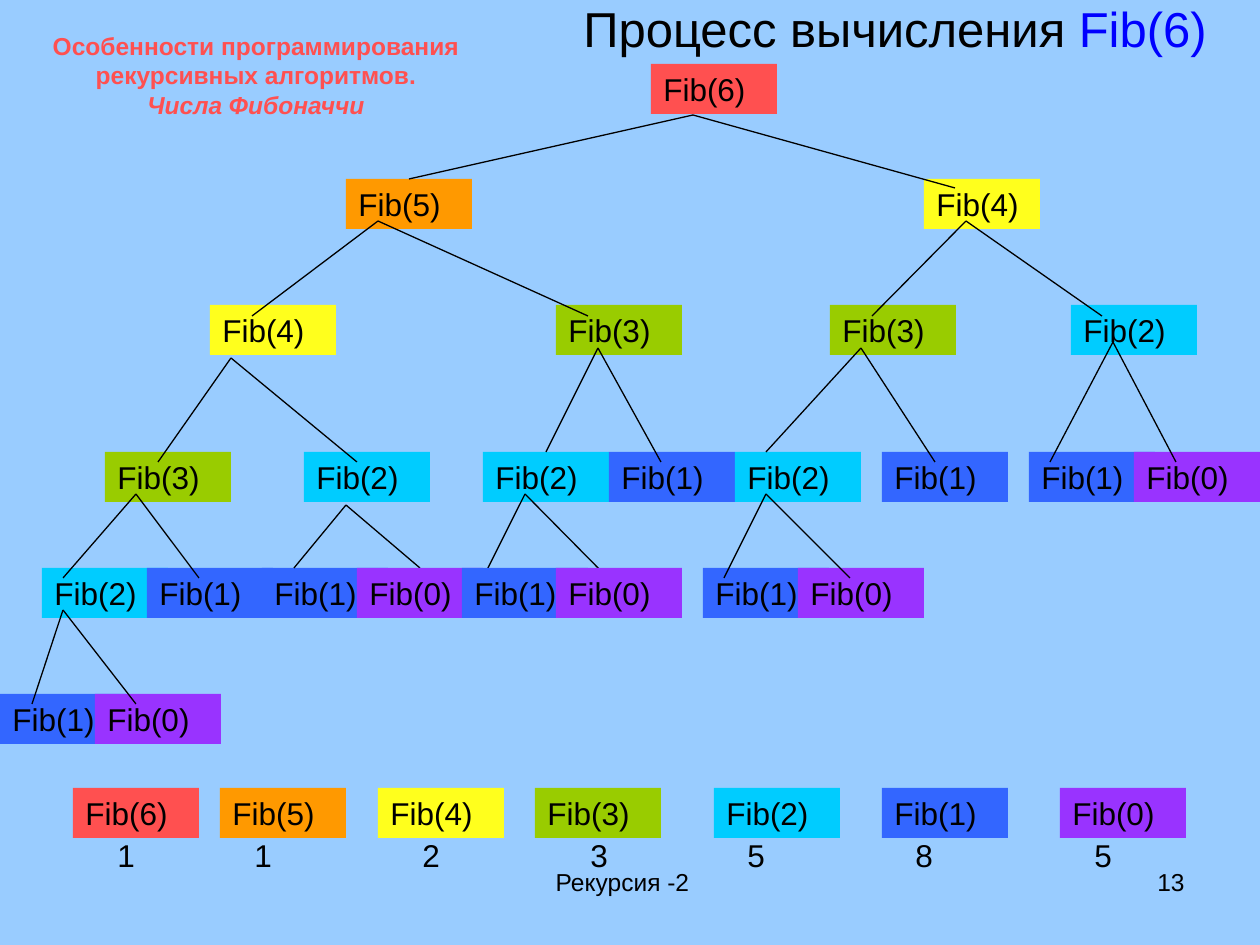
"""Build the slide with the call tree of the recursive Fib(6)."""
from pptx import Presentation, util as u
from pptx.dml.color import RGBColor
from pptx.enum import shapes, text
from pptx.oxml.ns import qn

PX = 9144000 / 1260
NODE_W, NODE_H = 126, 50
LEVEL_TOPS = [64, 179, 305, 452, 568, 694]
LEGEND_TOP, COUNT_TOP = 788, 830
COLOURS = ["9933FF", "3366FF", "00CCFF", "99CC00", "FFFF1D", "FF9900", "FF5050"]

prs = Presentation()
prs.slide_width, prs.slide_height = u.Inches(10), u.Inches(7.5)
slide = prs.slides.add_slide(prs.slide_layouts[6])


def colour(target, value):
    if hasattr(target, "solid"):
        target.solid()
        target = target.fore_color
    target.rgb = RGBColor.from_string(value)


def write(runs, left, top, width, height, fill=None, size=18, bold=False,
          align=text.PP_ALIGN.LEFT, anchor=text.MSO_ANCHOR.TOP, spacing=None):
    area = [round(v * PX) for v in (left, top, width, height)]
    if fill:
        box = slide.shapes.add_shape(shapes.MSO_SHAPE.RECTANGLE, *area)
        box.shadow.inherit = False
        colour(box.fill, fill)
        box.line.fill.background()
    else:
        box = slide.shapes.add_textbox(*area)
    frame = box.text_frame
    frame.word_wrap = True
    frame.vertical_anchor = anchor
    paragraph = frame.paragraphs[0]
    paragraph.alignment = align
    paragraph.line_spacing = spacing
    for words, ink, italic in runs:
        for index, row in enumerate(words.split("\n")):
            if index:
                paragraph.add_line_break()
            if not row:
                continue
            run = paragraph.add_run()
            run.text = row
            run.font.name, run.font.size = "Arial", u.Pt(size)
            run.font.bold, run.font.italic = bold, italic
            colour(run.font.color, ink)


colour(slide.background.fill, "99CCFF")
CENTER = text.PP_ALIGN.CENTER
write([("Рекурсия -2", "000000", False)], 423, 861, 399, 66, size=14, align=CENTER)
write([("13", "000000", False)], 903, 861, 294, 66, size=14, align=text.PP_ALIGN.RIGHT)
write([("Процесс вычисления ", "000000", False), ("Fib(6)", "0000FF", False)],
      538, 4, 714, 71, size=28, align=CENTER, spacing=0.8)
write([("Особенности программирования\nрекурсивных алгоритмов.\n", "FF5050", False),
       ("Числа Фибоначчи", "FF5050", True)],
      20, 28, 472, 94, size=14, bold=True, align=CENTER, anchor=text.MSO_ANCHOR.MIDDLE)

legend = [(6, 73, 105, 1), (5, 220, 242, 1), (4, 378, 410, 2), (3, 535, 578, 3),
          (2, 714, 735, 5), (1, 882, 903, 8), (0, 1060, 1082, 5)]
for n, left, count_left, count in legend:
    write([(f"Fib({n})", "000000", False)], left, LEGEND_TOP, NODE_W, NODE_H, fill=COLOURS[n])
    write([(str(count), "000000", False)], count_left, COUNT_TOP, 53, NODE_H)

levels = [
    [(6, 651)],
    [(5, 346), (4, 924)],
    [(4, 210), (3, 556), (3, 830), (2, 1071)],
    [(3, 105), (2, 304), (2, 483), (1, 609), (2, 735), (1, 882), (1, 1029), (0, 1134)],
    [(2, 42), (1, 147), (1, 262), (1, 703), (0, 798)],
    [(1, 0), (0, 95)],
]
front_calls = [(0, 357), (1, 462), (0, 556)]
calls = [(n, left, top) for level, top in zip(levels, LEVEL_TOPS) for n, left in level]
branches = [
    (693, 115, (409, 179), (955, 188)),
    (378, 221, (252, 316), (588, 316)),
    (966, 221, (872, 316), (1102, 316)),
    (231, 358, (158, 462), (357, 462)),
    (598, 348, (546, 452), (661, 462)),
    (861, 348, (766, 452), (935, 462)),
    (1113, 342, (1050, 462), (1176, 462)),
    (136, 494, (63, 578), (199, 578)),
    (346, 505, (294, 568), (420, 568)),
    (525, 494, (483, 578), (608, 578)),
    (766, 494, (724, 578), (850, 578)),
    (63, 610, (32, 704), (136, 704)),
]

for n, left, top in calls:
    width = 116 if left == 924 else NODE_W
    write([(f"Fib({n})", "000000", False)], left, top, width, NODE_H, fill=COLOURS[n])
for x, y, *ends in branches:
    for end_x, end_y in ends:
        branch = slide.shapes.add_connector(
            shapes.MSO_CONNECTOR.STRAIGHT, *[round(v * PX) for v in (x, y, end_x, end_y)])
        branch.line.width = u.Pt(0.75)
        colour(branch.line.fill, "000000")
        properties = branch._element.spPr
        properties.append(properties.makeelement(qn("a:effectLst"), {}))
for n, left in front_calls:
    write([(f"Fib({n})", "000000", False)], left, LEVEL_TOPS[4], NODE_W, NODE_H, fill=COLOURS[n])

prs.save("out.pptx")
